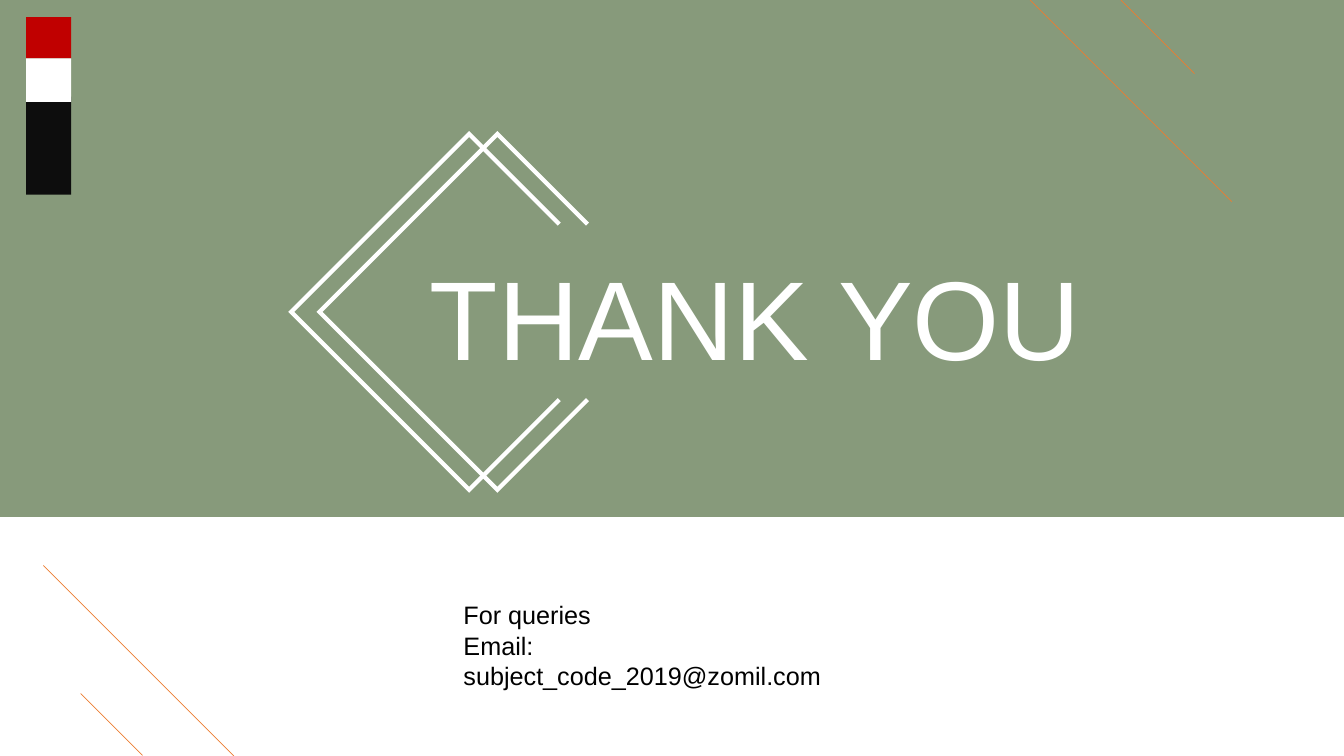
from lxml import etree
from pptx import Presentation
from pptx.dml.color import RGBColor
from pptx.enum.shapes import MSO_CONNECTOR, MSO_SHAPE
from pptx.enum.text import MSO_ANCHOR, MSO_AUTO_SIZE, PP_ALIGN
from pptx.oxml.ns import qn
from pptx.util import Pt

RECT = MSO_SHAPE.RECTANGLE
STRAIGHT = MSO_CONNECTOR.STRAIGHT
CENTER, LEFT = PP_ALIGN.CENTER, PP_ALIGN.LEFT
MIDDLE, TOP = MSO_ANCHOR.MIDDLE, MSO_ANCHOR.TOP
NO_FIT = MSO_AUTO_SIZE.NONE

GREEN = RGBColor(0x38, 0x57, 0x23)
ORANGE = RGBColor(0xED, 0x7D, 0x31)
RED = RGBColor(0xC0, 0x00, 0x00)
NEAR_BLACK = RGBColor(0x0D, 0x0D, 0x0D)
BLACK = RGBColor(0, 0, 0)
WHITE = RGBColor(0xFF, 0xFF, 0xFF)

WIDTH, HEIGHT = 960, 540
BAND_HEIGHT = 369.2
BAND_ALPHA = 60

TITLE = ["THANK YOU"]
TITLE_BOX = (117.4, 177.1, 844.6, 97.2)
CONTACT = ["For queries", "Email: subject_code_2019@zomil.com"]
CONTACT_BOX = (324, 424.8, 276.5, 72)

DIAGONALS = [(735.8, 0, 144), (800.6, 0, 52.6), (57.6, 495.4, 44.2), (31, 403.9, 136.1)]

BRACKET_TIPS = [208, 228.2]
BRACKET_MID, BRACKET_REACH, BRACKET_ARM = 222.8, 127.1, 64.4

FLAG_LEFT, FLAG_WIDTH = 18.7, 32.2
FLAG_STRIPES = [(12.2, 29.5, RED), (69.1, 69.9, NEAR_BLACK), (41.8, 31, WHITE)]


def add_rect(shapes, left, top, width, height, color):
    sp = shapes.add_shape(RECT, Pt(left), Pt(top), Pt(width), Pt(height))
    sp.shadow.inherit = False
    sp.fill.solid()
    sp.fill.fore_color.rgb = color
    sp.line.fill.background()
    return sp


def add_diagonal(shapes, left, top, run):
    line = shapes.add_connector(STRAIGHT, Pt(left), Pt(top), Pt(left + run), Pt(top + run))
    line.line.color.rgb = ORANGE
    line.line.width = Pt(0.5)
    etree.SubElement(line._element.spPr, qn("a:effectLst"))


def add_bracket(shapes, tip):
    peak = tip + BRACKET_REACH
    end = peak + BRACKET_ARM
    drop = BRACKET_REACH - BRACKET_ARM
    points = [(end, drop), (peak, BRACKET_REACH), (tip, 0), (peak, -BRACKET_REACH), (end, -drop)]
    points = [(Pt(x), Pt(BRACKET_MID + y)) for x, y in points]
    builder = shapes.build_freeform(*points[0], scale=1.0)
    builder.add_line_segments(points[1:], close=False)
    sp = builder.convert_to_shape()
    sp.shadow.inherit = False
    sp.fill.background()
    sp.line.color.rgb = WHITE
    sp.line.width = Pt(3)
    etree.SubElement(sp.line._get_or_add_ln(), qn("a:miter"), lim="800000")


def set_text(sp, lines, size, color, align=LEFT, anchor=TOP, inset=(7.2, 3.6)):
    tf = sp.text_frame
    tf.word_wrap = True
    tf.auto_size = NO_FIT
    tf.vertical_anchor = anchor
    tf.margin_left = tf.margin_right = Pt(inset[0])
    tf.margin_top = tf.margin_bottom = Pt(inset[1])
    tf.text = "\n".join(lines)
    for p in tf.paragraphs:
        p.alignment = align
        for r in p.runs:
            r.font.name = "Arial"
            r.font.size = Pt(size)
            r.font.color.rgb = color


def main():
    prs = Presentation()
    prs.slide_width, prs.slide_height = Pt(WIDTH), Pt(HEIGHT)
    slide = prs.slides.add_slide(prs.slide_layouts[5])
    shapes = slide.shapes

    band = add_rect(shapes, 0, 0, WIDTH, BAND_HEIGHT, GREEN)
    color = band._element.spPr.find(qn("a:solidFill"))[0]
    etree.SubElement(color, qn("a:alpha"), val=str(BAND_ALPHA * 1000))

    for left, top, run in DIAGONALS:
        add_diagonal(shapes, left, top, run)

    title = shapes.title
    title.left, title.top, title.width, title.height = map(Pt, TITLE_BOX)
    set_text(title, TITLE, 80, WHITE, align=CENTER, anchor=MIDDLE, inset=(0, 0))
    band._element.getparent().append(title._element)

    for tip in BRACKET_TIPS:
        add_bracket(shapes, tip)

    flag = shapes.add_group_shape()
    for top, height, stripe_color in FLAG_STRIPES:
        add_rect(flag.shapes, FLAG_LEFT, top, FLAG_WIDTH, height, stripe_color)

    contact = shapes.add_textbox(*map(Pt, CONTACT_BOX))
    set_text(contact, CONTACT, 18, BLACK)

    prs.save("out.pptx")


if __name__ == "__main__":
    main()
